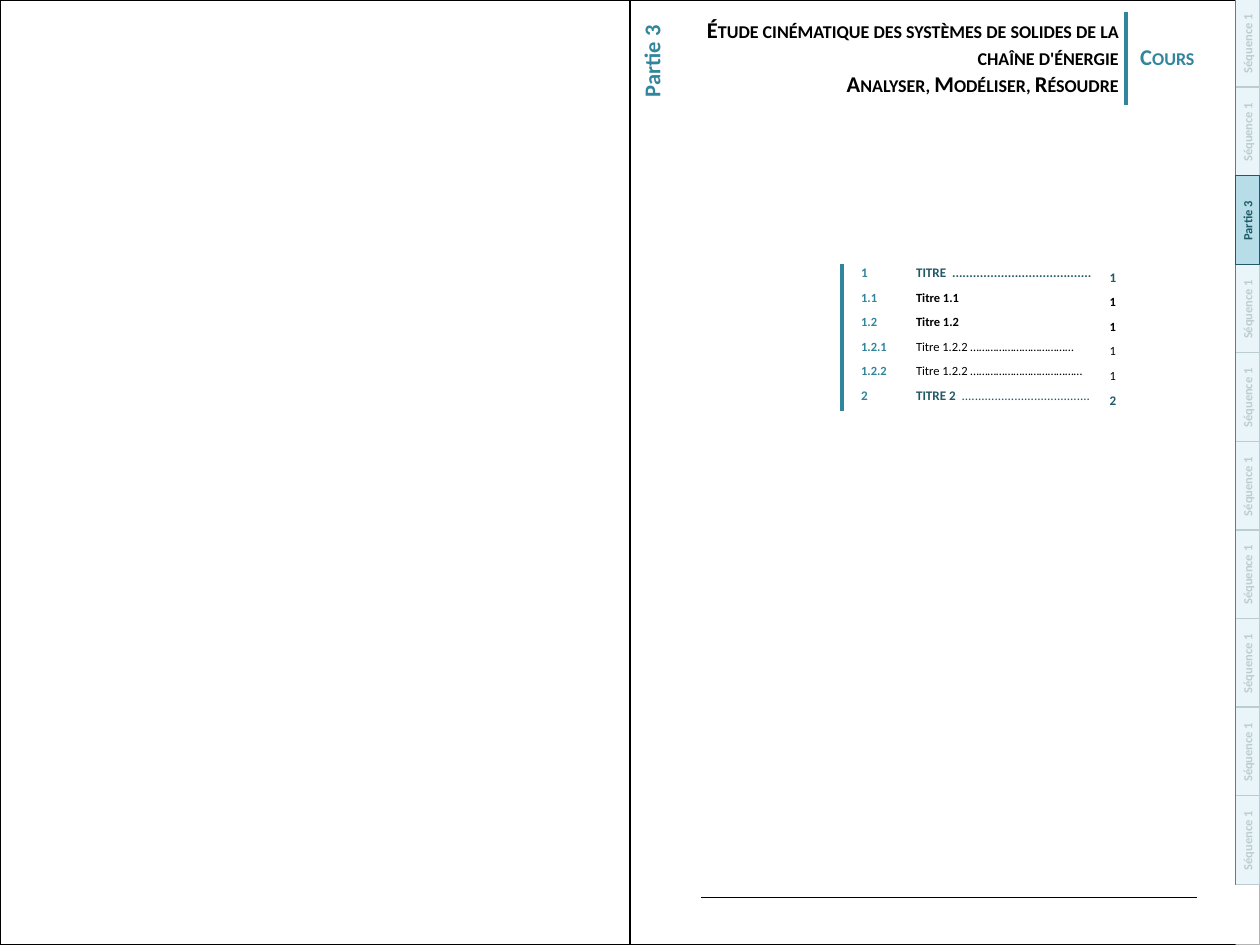
from lxml import etree
from pptx import Presentation
from pptx.dml.color import RGBColor
from pptx.enum.shapes import MSO_CONNECTOR, MSO_SHAPE
from pptx.enum.text import MSO_ANCHOR, PP_ALIGN
from pptx.oxml.ns import qn
from pptx.util import Cm, Pt

RECTANGLE = MSO_SHAPE.RECTANGLE
STRAIGHT = MSO_CONNECTOR.STRAIGHT
LEFT, CENTER, RIGHT = PP_ALIGN.LEFT, PP_ALIGN.CENTER, PP_ALIGN.RIGHT
TOP, MIDDLE = MSO_ANCHOR.TOP, MSO_ANCHOR.MIDDLE

COLORS = {
    "black": "000000",
    "white": "FFFFFF",
    "teal": "31859C",
    "dark": "215968",
    "light": "B7DEE8",
}
SLIDE_WIDTH, SLIDE_HEIGHT = 35.56, 26.67
PAGE_WIDTH = SLIDE_WIDTH / 2
TAB_TOP, TAB_PITCH, TAB_COUNT, ACTIVE_TAB = 0.86, 2.5, 10, 2
COLUMN_WIDTHS = (1.55, 5.46, 2.74)
ROW_HEIGHT = 0.69
CONTENTS = [
    ("1", [("TITRE  ........................................", True)], "1", 10.5, "dark"),
    ("1.1", [("Titre 1.1", True)], "1", 10, "black"),
    ("1.2", [("Titre 1.2", True)], "1", 10, "black"),
    ("1.2.1", [("Titre 1.2.2 ………………………………", False)], "1", 10, "black"),
    ("1.2.2", [("Titre 1.2.2 …………………………………", False)], "1", 10, "black"),
    ("2", [("TITRE 2  ", True), (".......................................", False)],
     "2", 10.5, "dark"),
]


def rgb(name):
    return RGBColor.from_string(COLORS[name])


def apply_format(target, values):
    for name, value in values.items():
        setattr(target, name, value)


def add_run(paragraph, text, size, color, bold=True, small_caps=False):
    run = paragraph.add_run()
    run.text = text
    apply_format(run.font, {"name": "Calibri", "size": Pt(size), "bold": bold})
    run.font.color.rgb = rgb(color)
    if small_caps:
        run._r.get_or_add_rPr().set("cap", "small")


def write_lines(text_frame, lines, size, color, alignment, small_caps=False):
    for index, line in enumerate(lines):
        paragraph = text_frame.add_paragraph() if index else text_frame.paragraphs[0]
        paragraph.alignment = alignment
        add_run(paragraph, line, size, color, small_caps=small_caps)


def set_title(slide):
    title = slide.shapes.title
    apply_format(title, {"left": Cm(18.39), "top": Cm(0.33),
                         "width": Cm(13.44), "height": Cm(2.57)})
    apply_format(title.text_frame, {"word_wrap": True, "vertical_anchor": TOP})
    lines = ["Étude cinématique des systèmes de solides de la chaîne d'énergie",
             "Analyser, Modéliser, Résoudre"]
    write_lines(title.text_frame, lines, 18, "black", RIGHT, small_caps=True)


def add_label(slide, text, box, alignment, rotation=0, small_caps=False):
    label = slide.shapes.add_textbox(*map(Cm, box))
    label.rotation = rotation
    label.text_frame.word_wrap = True
    write_lines(label.text_frame, [text], 18, "teal", alignment, small_caps)


def add_rectangle(slide, box, fill=None, line=None, line_width=0.75):
    shape = slide.shapes.add_shape(RECTANGLE, *map(Cm, box))
    shape.shadow.inherit = False
    if fill:
        shape.fill.solid()
        shape.fill.fore_color.rgb = rgb(fill)
    else:
        shape.fill.background()
    if line:
        shape.line.color.rgb = rgb(line)
        shape.line.width = Pt(line_width)
    else:
        shape.line.fill.background()
    return shape


def add_rule(slide, ends, color, width):
    rule = slide.shapes.add_connector(STRAIGHT, *map(Cm, ends))
    rule.line.color.rgb = rgb(color)
    rule.line.width = Pt(width)
    etree.SubElement(rule._element.spPr, qn("a:effectLst"))


def add_tab(slide, index, text):
    tab = add_rectangle(slide, (33.96, TAB_TOP + index * TAB_PITCH, 2.49, 0.69), "light", "dark")
    tab.rotation = 270
    apply_format(tab.text_frame, {
        "word_wrap": True, "vertical_anchor": MIDDLE,
        "margin_left": Cm(0.2), "margin_right": Cm(0.25),
        "margin_top": Cm(0.13), "margin_bottom": Cm(0.13),
    })
    write_lines(tab.text_frame, [text], 10, "dark", CENTER)


def add_veil(slide):
    veil = add_rectangle(slide, (34.87, -0.05, 1.12, 26.72), "white")
    color = veil._element.spPr.find(qn("a:solidFill"))[0]
    etree.SubElement(color, qn("a:alpha")).set("val", "70000")


def fill_cell(cell, runs, size, color, margin):
    cell.fill.background()
    apply_format(cell, {"vertical_anchor": TOP, "margin_top": Cm(margin),
                        "margin_bottom": Cm(margin)})
    paragraph = cell.text_frame.paragraphs[0]
    paragraph.alignment = LEFT
    for text, bold in runs:
        add_run(paragraph, text, size, color, bold)


def add_contents(slide):
    frame = slide.shapes.add_table(
        len(CONTENTS), len(COLUMN_WIDTHS), Cm(24.05), Cm(7.49),
        Cm(sum(COLUMN_WIDTHS)), Cm(ROW_HEIGHT * len(CONTENTS)))
    table = frame.table
    apply_format(table, {"first_row": False, "horz_banding": False})
    for column, width in zip(table.columns, COLUMN_WIDTHS):
        column.width = Cm(width)
    for row, (number, heading, page, size, color) in zip(table.rows, CONTENTS):
        row.height = Cm(ROW_HEIGHT)
        number_cell, heading_cell, page_cell = row.cells
        fill_cell(number_cell, [(number, True)], size, "teal", 0)
        fill_cell(heading_cell, heading, size, color, 0)
        fill_cell(page_cell, [(page, heading[0][1])], size, color, 0.13)


def main():
    presentation = Presentation()
    apply_format(presentation, {"slide_width": Cm(SLIDE_WIDTH), "slide_height": Cm(SLIDE_HEIGHT)})
    slide = presentation.slides.add_slide(presentation.slide_layouts[5])

    for left in (0, PAGE_WIDTH):
        add_rectangle(slide, (left, 0, PAGE_WIDTH, SLIDE_HEIGHT), line="black", line_width=2)
    add_rule(slide, (19.79, 25.32, 33.78, 25.32), "black", 1)
    add_rule(slide, (23.77, 7.44, 23.77, 11.61), "teal", 3)
    add_rule(slide, (31.78, 0.33, 31.78, 2.95), "teal", 3)

    set_title(slide)
    add_label(slide, "Partie 3", (16.79, 1.22, 3.2, 1.02), CENTER, rotation=270)
    add_label(slide, "Cours", (31.93, 1.09, 3.99, 1.02), LEFT, small_caps=True)

    for index in range(TAB_COUNT):
        if index != ACTIVE_TAB:
            add_tab(slide, index, "Séquence 1")
    add_veil(slide)
    add_tab(slide, ACTIVE_TAB, "Partie 3")
    add_contents(slide)

    presentation.save("out.pptx")


if __name__ == "__main__":
    main()
